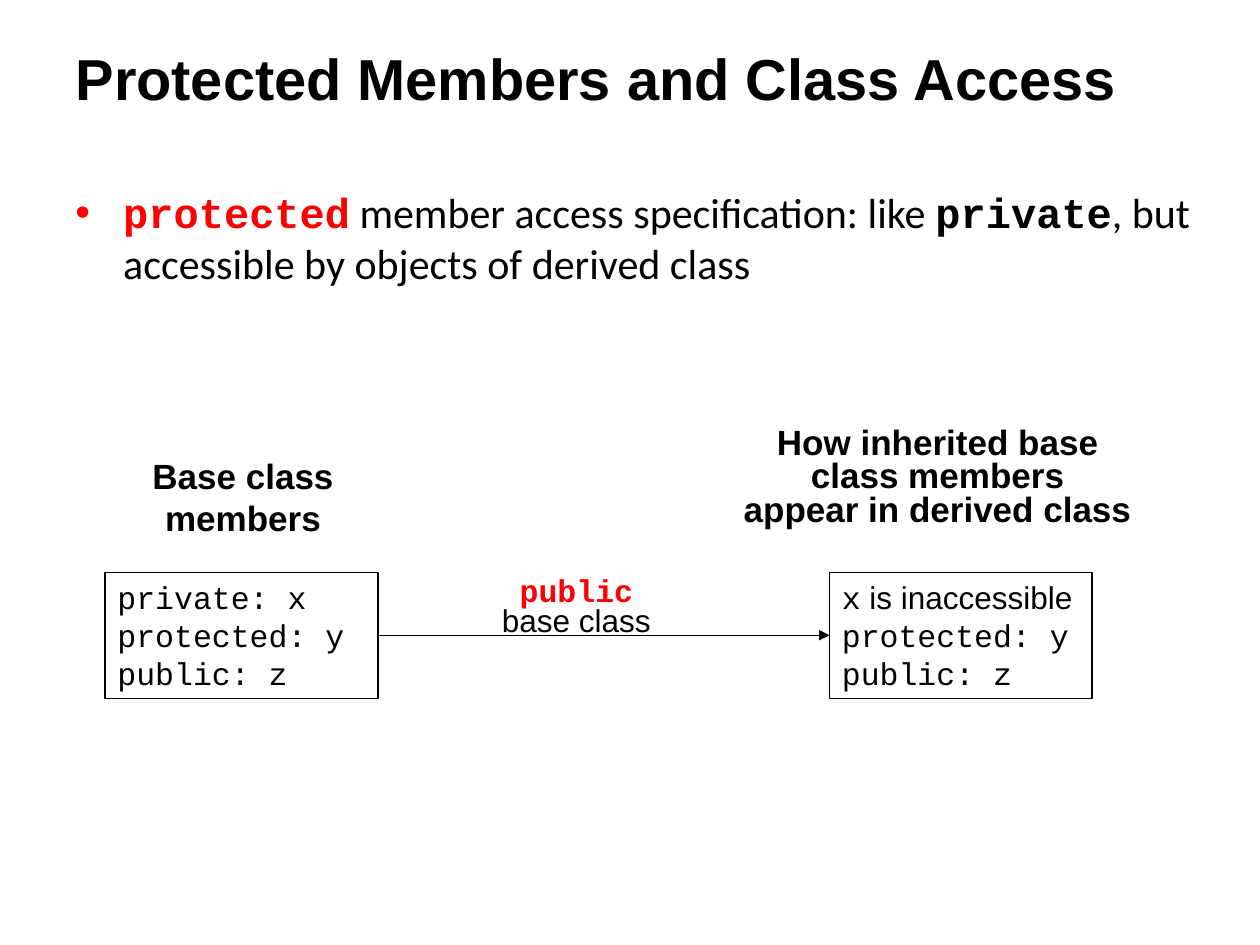
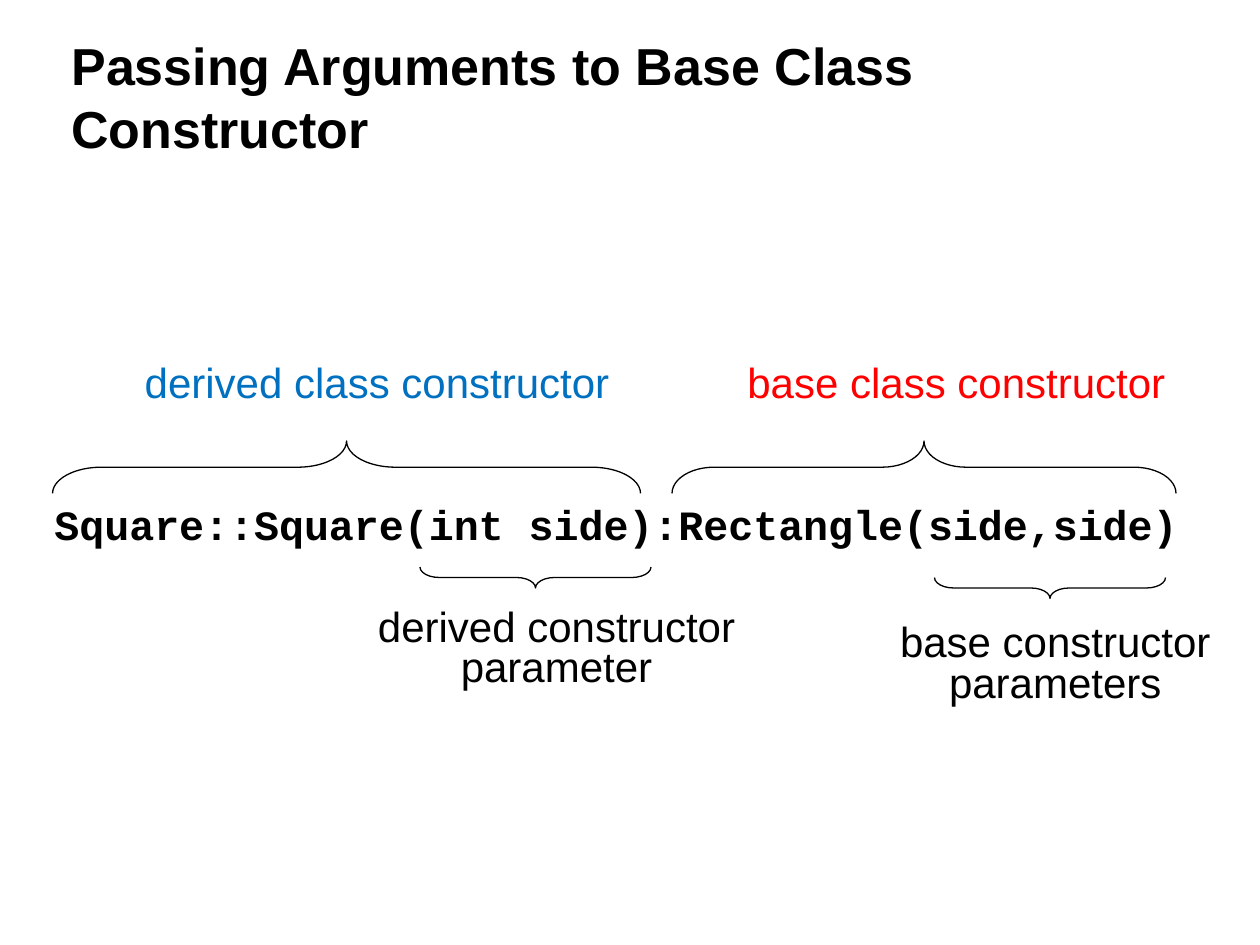
from dataclasses import dataclass
from typing import NamedTuple

from lxml.etree import SubElement
from pptx import Presentation
from pptx.dml.color import RGBColor
from pptx.enum.shapes import MSO_CONNECTOR as Connector, MSO_SHAPE as Preset
from pptx.enum.text import MSO_ANCHOR as Anchor, MSO_AUTO_SIZE as AutoSize, PP_ALIGN as Align
from pptx.oxml.ns import qn
from pptx.util import Inches, Pt

SLIDE_WIDTH, SLIDE_HEIGHT = Inches(10), Inches(7.5)
COLUMNS, ROWS = 120, 90
TITLE_ONLY = 5


@dataclass(frozen=True)
class Theme:
    ink: str = "000000"
    accent: str = "FF0000"
    derived: str = "0070C0"
    paper: str = "FFFFFF"
    sans: str = "Arial"
    body: str = "Calibri"
    code: str = "Courier New"
    title_size: float = 33
    long_title_size: float = 29.7
    text_size: float = 24
    code_size: float = 23.8
    caption_size: float = 20
    member_size: float = 18
    line_width: float = 0.75
    tight: float = 0.8
    hanging: float = 0.38


THEME = Theme()


class Area(NamedTuple):
    """A place on the slide in grid columns and rows."""
    column: float
    row: float
    columns: float
    rows: float

    def emu(self) -> tuple[int, int, int, int]:
        return (across(self.column), down(self.row),
                across(self.columns), down(self.rows))


class Span(NamedTuple):
    """Words whose format differs from the rest of their text."""
    text: str
    font: str = THEME.sans
    color: str = THEME.ink
    bold: bool = False


class Label(NamedTuple):
    area: Area
    paragraphs: list
    size: float = THEME.text_size
    color: str = THEME.ink
    bold: bool = False
    align: Align = Align.CENTER
    spacing: float = THEME.tight


class Brace(NamedTuple):
    area: Area
    preset: Preset


def across(columns: float) -> int:
    return round(SLIDE_WIDTH * columns / COLUMNS)


def down(rows: float) -> int:
    return round(SLIDE_HEIGHT * rows / ROWS)


def write_text(shape, paragraphs: list, *, size: float, font: str = THEME.sans,
               color: str = THEME.ink, bold: bool = False, align: Align = Align.LEFT,
               spacing: float = 1, anchor: Anchor = Anchor.TOP) -> None:
    """Fill a shape; each paragraph is a string or a list of Spans."""
    frame = shape.text_frame
    frame.word_wrap = True
    frame.auto_size = AutoSize.NONE
    frame.vertical_anchor = anchor
    for index, content in enumerate(paragraphs):
        paragraph = frame.paragraphs[0] if index == 0 else frame.add_paragraph()
        paragraph.alignment = align
        paragraph.line_spacing = spacing
        spans = [Span(content, font, color, bold)] if isinstance(content, str) else content
        for span in spans:
            run = paragraph.add_run()
            run.text = span.text
            run.font.name = span.font
            run.font.size = Pt(size)
            run.font.bold = span.bold
            run.font.color.rgb = RGBColor.from_string(span.color)


def add_titled_slide(deck, title: str, area: Area, size: float):
    slide = deck.slides.add_slide(deck.slide_layouts[TITLE_ONLY])
    slide.background.fill.solid()
    slide.background.fill.fore_color.rgb = RGBColor.from_string(THEME.paper)
    heading = slide.shapes.title
    heading.left, heading.top, heading.width, heading.height = area.emu()
    write_text(heading, [title], size=size, bold=True, anchor=Anchor.MIDDLE)
    return slide


def add_text(slide, area: Area, paragraphs: list, **text_format):
    box = slide.shapes.add_textbox(*area.emu())
    write_text(box, paragraphs, **text_format)
    return box


def add_label(slide, label: Label) -> None:
    add_text(slide, label.area, label.paragraphs, size=label.size, color=label.color,
             bold=label.bold, align=label.align, spacing=label.spacing)


def add_bullet(paragraph, color: str) -> None:
    properties = paragraph._p.get_or_add_pPr()
    properties.set("marL", str(Inches(THEME.hanging)))
    properties.set("indent", str(-Inches(THEME.hanging)))
    bullet_color = SubElement(properties, qn("a:buClr"))
    SubElement(bullet_color, qn("a:srgbClr"), val=color)
    SubElement(properties, qn("a:buFont"), typeface=THEME.sans)
    SubElement(properties, qn("a:buChar"), char="•")


def set_outline(line) -> None:
    line.color.rgb = RGBColor.from_string(THEME.ink)
    line.width = Pt(THEME.line_width)


def add_outlined(slide, preset: Preset, *place: int):
    shape = slide.shapes.add_shape(preset, *place)
    shape.shadow.inherit = False
    shape.fill.background()
    set_outline(shape.line)
    return shape


def add_member_box(slide, area: Area, members: list):
    box = add_outlined(slide, Preset.RECTANGLE, *area.emu())
    write_text(box, members, size=THEME.member_size, font=THEME.code)
    return box


def add_inheritance_arrow(slide, base, derived) -> None:
    arrow = slide.shapes.add_connector(Connector.STRAIGHT, 0, 0, 0, 0)
    arrow.begin_connect(base, 3)
    arrow.end_connect(derived, 1)
    set_outline(arrow.line)
    SubElement(arrow.line._get_or_add_ln(), qn("a:tailEnd"), type="triangle")
    SubElement(arrow._element.spPr, qn("a:effectLst"))


def add_brace(slide, brace: Brace) -> None:
    """Lay a brace on its side so that it covers its area after the turn."""
    left, top, span, depth = brace.area.emu()
    shift = (span - depth) // 2
    shape = add_outlined(slide, brace.preset, left + shift, top - shift, depth, span)
    shape.rotation = 90
    shape.adjustments[0] = span / depth / 12
    shape.adjustments[1] = 0.5


def build_access_slide(deck) -> None:
    slide = add_titled_slide(deck, "Protected Members and Class Access",
                             Area(6, 1.9, 108, 10.9), THEME.title_size)
    definition = add_text(slide, Area(6, 17.2, 109, 67), [[
        Span("protected", THEME.code, THEME.accent, True),
        Span(" member access specification: like ", THEME.body),
        Span("private", THEME.code, bold=True),
        Span(", but accessible by objects of derived class", THEME.body),
    ]], size=THEME.text_size)
    add_bullet(definition.text_frame.paragraphs[0], THEME.accent)

    shared_members = ["protected: y", "public: z"]
    base = add_member_box(slide, Area(10, 54.5, 26, 12), ["private: x", *shared_members])
    derived = add_member_box(slide, Area(79, 54.5, 25, 12), [
        [Span("x", THEME.code), Span(" is inaccessible")], *shared_members])
    add_inheritance_arrow(slide, base, derived)

    for label in (
        Label(Area(6, 42.7, 34.3, 9.2), ["Base class members"],
              THEME.caption_size, bold=True, spacing=1),
        Label(Area(69.5, 40.2, 39.6, 10.9),
              ["How inherited base class members", "appear in derived class"],
              THEME.caption_size, bold=True),
        Label(Area(46.4, 54.5, 17, 7.1),
              [[Span("public", THEME.code, THEME.accent, True)], "base class"],
              THEME.member_size),
    ):
        add_label(slide, label)


def build_constructor_slide(deck) -> None:
    slide = add_titled_slide(deck, "Passing Arguments to Base Class Constructor",
                             Area(5.6, 3.7, 108, 10.9), THEME.long_title_size)
    add_text(slide, Area(4, 48, 112, 6), ["Square::Square(int side):Rectangle(side,side)"],
             size=THEME.code_size, font=THEME.code, bold=True, spacing=0.75)

    for brace in (
        Brace(Area(5, 42, 56, 5), Preset.LEFT_BRACE),
        Brace(Area(64, 42, 48, 5), Preset.LEFT_BRACE),
        Brace(Area(89, 55, 22, 2), Preset.RIGHT_BRACE),
        Brace(Area(40, 54, 22, 2), Preset.RIGHT_BRACE),
    ):
        add_brace(slide, brace)

    for label in (
        Label(Area(12.6, 33.4, 47.4, 6), ["derived class constructor"],
              color=THEME.derived, align=Align.LEFT, spacing=1),
        Label(Area(70, 33.4, 42.8, 6), ["base class constructor"],
              color=THEME.accent, align=Align.LEFT, spacing=1),
        Label(Area(33, 57.5, 40, 9), ["derived constructor parameter"]),
        Label(Area(84, 59, 33, 9), ["base constructor parameters"]),
    ):
        add_label(slide, label)


def main() -> None:
    deck = Presentation()
    deck.slide_width, deck.slide_height = SLIDE_WIDTH, SLIDE_HEIGHT
    build_access_slide(deck)
    build_constructor_slide(deck)
    deck.save("out.pptx")


if __name__ == "__main__":
    main()
